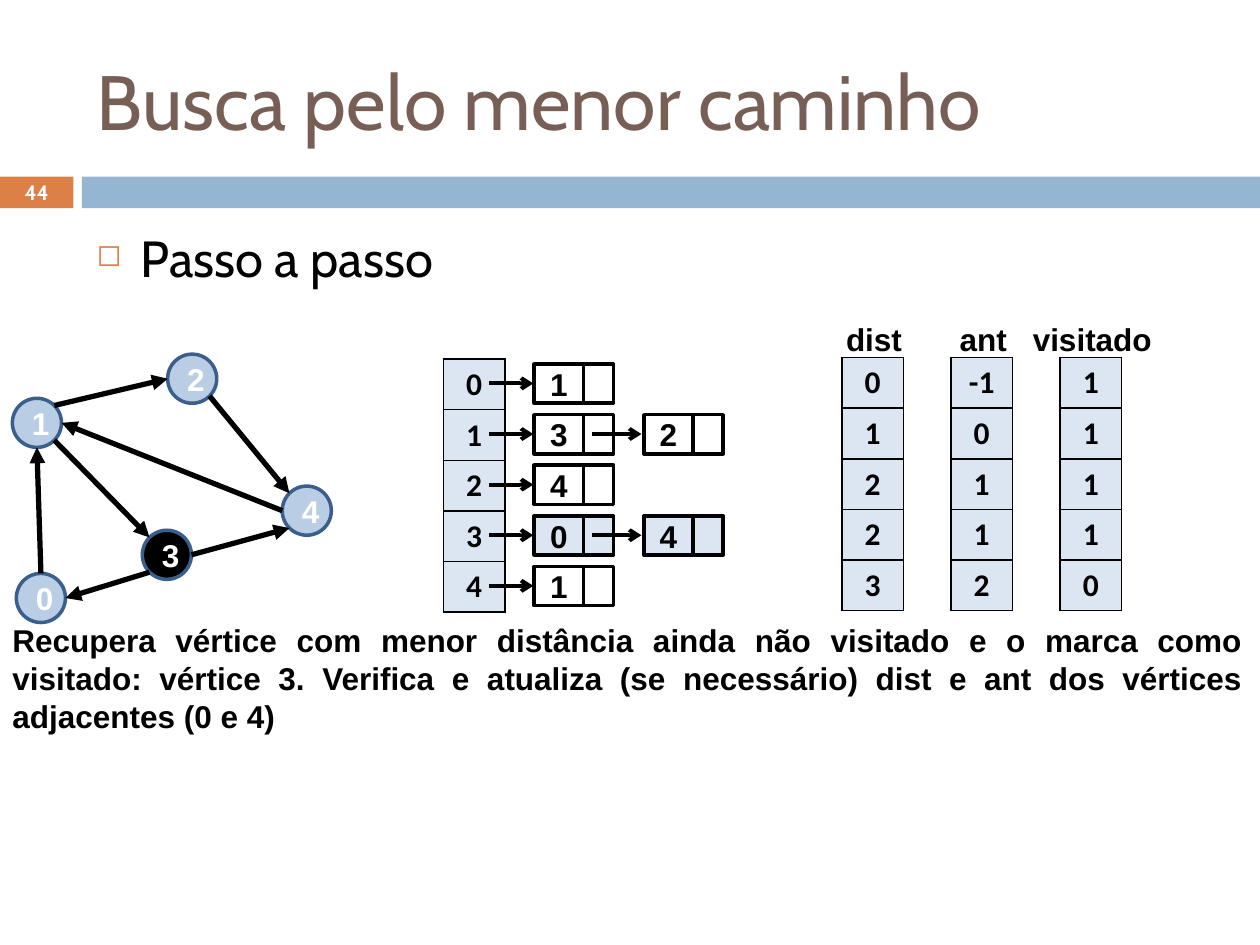
from dataclasses import dataclass
from math import cos, radians, sin

from lxml import etree
from pptx import Presentation
from pptx import util as u
from pptx.dml.color import RGBColor
from pptx.enum import shapes as sh
from pptx.enum import text as tx
from pptx.oxml import ns

Cm = u.Cm
PALE, BLACK, WHITE = "DCE6F2", "000000", "FFFFFF"
STEP = 1.02  # height of one table row, in cm
DIAM = 0.99  # size of a graph node
LEFT, CENTER = tx.PP_ALIGN.LEFT, tx.PP_ALIGN.CENTER


@dataclass
class Node:
    name: str
    x: float
    y: float
    fill: str = "B9CDE5"

    def site(self, turn: int) -> tuple[float, float]:
        """Point on the rim, counted in eighths of a turn from the right."""
        angle = radians(45 * turn)
        r = DIAM / 2
        return self.x + r + r * cos(angle), self.y + r - r * sin(angle)


@dataclass
class Edge:
    start: int
    out: int
    end: int
    into: int


@dataclass
class Item:
    row: int
    col: int
    name: str
    fill: str = WHITE


@dataclass
class Column:
    name: str
    cells: list[str]


NODES = [
    Node("0", 0.33, 11.56),
    Node("1", 0.25, 8.03),
    Node("2", 3.38, 7.14),
    Node("3", 2.87, 10.69, BLACK),
    Node("4", 5.69, 9.8),
]
EDGES = [
    Edge(0, 2, 1, 6), Edge(1, 1, 2, 4), Edge(1, 7, 3, 3), Edge(2, 7, 4, 3),
    Edge(3, 5, 0, 0), Edge(3, 0, 4, 5), Edge(4, 4, 1, 0),
]
ITEMS = [
    Item(0, 0, "1"), Item(1, 0, "3"), Item(1, 1, "2"), Item(2, 0, "4"),
    Item(3, 0, "0", PALE), Item(3, 1, "4", PALE), Item(4, 0, "1"),
]
COLUMNS = [
    Column("dist", ["0", "1", "2", "2", "3"]),
    Column("ant", ["-1", "0", "1", "1", "2"]),
    Column("visitado", ["1", "1", "1", "1", "0"]),
]


def rgb(code: str) -> RGBColor:
    return RGBColor.from_string(code)


def add_tag(parent, name: str, **attrs: str):
    tag = etree.SubElement(parent, ns.qn(name))
    for key, value in attrs.items():
        tag.set(key, value)
    return tag


def write(frame, words: str, size: float, color: str = BLACK, font: str = "Arial",
          bold: bool = True, align=CENTER) -> None:
    frame.text = words
    para = frame.paragraphs[0]
    para.alignment = align
    face = para.runs[0].font
    face.size, face.name, face.bold = u.Pt(size), font, bold
    face.color.rgb = rgb(color)


def add_box(slide, kind, x: float, y: float, w: float, h: float, fill: str,
            line: str = ""):
    box = slide.shapes.add_shape(kind, Cm(x), Cm(y), Cm(w), Cm(h))
    box.shadow.inherit = False
    box.fill.solid()
    box.fill.fore_color.rgb = rgb(fill)
    if line:
        box.line.color.rgb = rgb(line)
        box.line.width = u.Pt(2)
    else:
        box.line.fill.background()
    box.text_frame.vertical_anchor = tx.MSO_ANCHOR.MIDDLE
    return box


def add_label(slide, x: float, y: float, w: float, h: float, words: str, **style):
    frame = slide.shapes.add_textbox(Cm(x), Cm(y), Cm(w), Cm(h)).text_frame
    frame.word_wrap = True
    write(frame, words, **style)
    return frame


def add_arrow(slide, start: tuple[float, float], end: tuple[float, float],
              width: float, head: str) -> None:
    arrow = slide.shapes.add_connector(
        sh.MSO_CONNECTOR.STRAIGHT, *(Cm(v) for v in (*start, *end)))
    arrow.line.color.rgb = rgb(BLACK)
    arrow.line.width = u.Pt(width)
    props = arrow._element.spPr
    add_tag(props.find(ns.qn("a:ln")), "a:tailEnd", type=head)
    add_tag(props, "a:effectLst")


def add_grid(slide, x: float, y: float, cells: list[str]) -> None:
    """Add a table of one column."""
    count = len(cells)
    table = slide.shapes.add_table(
        count, 1, Cm(x), Cm(y), Cm(1.24), Cm(STEP * count)).table
    table.first_row = table.horz_banding = False
    for row, words in enumerate(cells):
        cell = table.cell(row, 0)
        write(cell.text_frame, words, 18, font="Calibri")
        props = cell._tc.get_or_add_tcPr()
        for side in ("a:lnL", "a:lnR", "a:lnT", "a:lnB"):
            line = add_tag(props, side, w=str(u.Pt(1)))
            add_tag(add_tag(line, "a:solidFill"), "a:srgbClr", val=BLACK)
        cell.fill.solid()
        cell.fill.fore_color.rgb = rgb(PALE)


def add_head(slide) -> None:
    rect = sh.MSO_SHAPE.RECTANGLE
    badge = add_box(slide, rect, 0, 3.56, 1.48, 0.64, "DD8047")
    write(badge.text_frame, "44", 11.9, WHITE, "Cabin")
    add_box(slide, rect, 1.65, 3.56, 23.75, 0.64, "94B6D2")
    title = slide.shapes.title
    title.left, title.top, title.width, title.height = map(
        Cm, (1.7, 0.64, 22.66, 2.74))
    title.text_frame.vertical_anchor = tx.MSO_ANCHOR.MIDDLE
    write(title.text_frame, "Busca pelo menor caminho", 44, "775F55", "Cabin",
          bold=False, align=LEFT)
    body = add_label(slide, 1.7, 4.45, 22.66, 1.6, "Passo a passo", size=29,
                     font="Cabin", bold=False, align=LEFT)
    props = body.paragraphs[0]._p.get_or_add_pPr()
    props.set("marL", str(Cm(0.89)))
    props.set("indent", str(Cm(-0.89)))
    add_tag(add_tag(props, "a:buClr"), "a:srgbClr", val="DD8047")
    add_tag(props, "a:buSzPct", val="60000")
    add_tag(props, "a:buChar", char="◻")


def add_graph(slide) -> None:
    for node in NODES:
        dot = add_box(slide, sh.MSO_SHAPE.OVAL, node.x, node.y, DIAM, DIAM,
                      node.fill, "3A5F8C")
        write(dot.text_frame, node.name, 18, WHITE)
    for edge in EDGES:
        add_arrow(slide, NODES[edge.start].site(edge.out),
                  NODES[edge.end].site(edge.into), 3, "triangle")


def add_lists(slide) -> None:
    """Add the table of vertices and the linked items beside it."""
    add_grid(slide, 8.94, 7.24, [node.name for node in NODES])
    rect = sh.MSO_SHAPE.RECTANGLE
    for item in ITEMS:
        x, y = 10.77 + 2.21 * item.col, 7.34 + STEP * item.row
        key = add_box(slide, rect, x, y, 0.99, 0.79, item.fill, BLACK)
        write(key.text_frame, item.name, 18)
        add_box(slide, rect, x + 0.99, y, 0.61, 0.79, item.fill, BLACK)
    for item in ITEMS:
        y = 7.73 + STEP * item.row
        start, end = (11.94, 12.93) if item.col else (9.86, 10.75)
        add_arrow(slide, (start, y), (end, y), 2.25, "arrow")


def main() -> None:
    deck = Presentation()
    deck.slide_width, deck.slide_height = Cm(25.4), Cm(19.05)
    slide = deck.slides.add_slide(deck.slide_layouts[5])
    add_head(slide)
    add_graph(slide)
    add_lists(slide)
    for i, col in enumerate(COLUMNS):
        x = 16.97 + 2.2 * i
        add_grid(slide, x, 7.21, col.cells)
        add_label(slide, x - 1.04, 6.32, 3.38, 1.02, col.name, size=18)
    add_label(
        slide, 0, 12.4, 25.3, 2.57,
        "Recupera vértice com menor distância ainda não visitado e o marca como "
        "visitado: vértice 3. Verifica e atualiza (se necessário) dist e ant dos "
        "vértices adjacentes (0 e 4)", size=18, align=tx.PP_ALIGN.JUSTIFY)
    deck.save("out.pptx")


if __name__ == "__main__":
    main()
